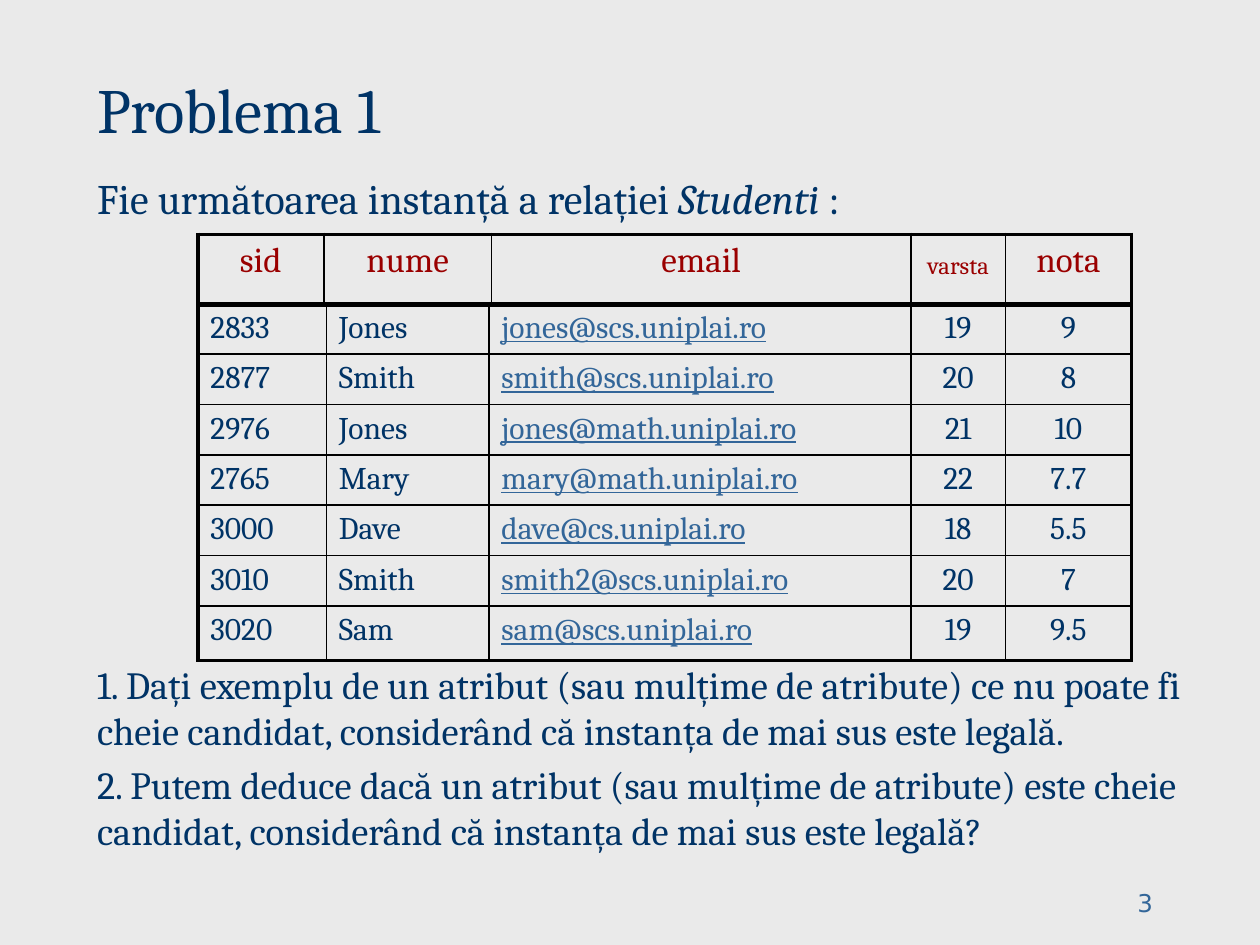
import pptx
import pptx.util
import pptx.dml.color
import pptx.enum.text
import pptx.oxml
import pptx.oxml.ns
import lxml.etree

Inches = pptx.util.Inches
Pt = pptx.util.Pt
ALIGN = pptx.enum.text.PP_ALIGN
ANCHOR = pptx.enum.text.MSO_ANCHOR
HUES = {"ground": "EAEAEA", "ink": "003366", "link": "336699",
        "head": "9A0000", "line": "000000"}


class Page:
    serif = "Cambria"
    sans = "DejaVu Sans"
    thick, thin = 2.25, 1

    def __init__(self, deck):
        self.slide = deck.slides.add_slide(deck.slide_layouts[1])
        fill = self.slide.background.fill
        fill.solid()
        fill.fore_color.rgb = self.hue("ground")

    def hue(self, name):
        return pptx.dml.color.RGBColor.from_string(HUES[name])

    def style(self, para, size, hue="ink", face=serif, align=ALIGN.LEFT):
        para.alignment = align
        para.font.size = Pt(size)
        para.font.name = face
        para.font.color.rgb = self.hue(hue)

    def place(self, shape, box):
        shape.left, shape.top, shape.width, shape.height = map(Inches, box)
        frame = shape.text_frame
        frame.word_wrap = True
        frame.auto_size = pptx.enum.text.MSO_AUTO_SIZE.NONE
        return frame

    def title(self, text, box):
        frame = self.place(self.slide.shapes.title, box)
        frame.vertical_anchor = ANCHOR.BOTTOM
        frame.text = text
        self.style(frame.paragraphs[0], 36)

    def body(self, items, box):
        frame = self.place(self.slide.placeholders[1], box)
        frame.vertical_anchor = ANCHOR.TOP
        for index, (parts, size, gap) in enumerate(items):
            para = frame.add_paragraph() if index else frame.paragraphs[0]
            for text, slant in parts:
                run = para.add_run()
                run.text = text
                if slant:
                    run.font.italic = True
            self.style(para, size)
            para.space_before = Pt(gap)
            props = para._p.get_or_add_pPr()
            props.set("marL", "0")
            props.set("indent", "0")
            lxml.etree.SubElement(props, pptx.oxml.ns.qn("a:buNone"))

    def number(self, text, box):
        frame = self.place(self.slide.shapes.add_textbox(0, 0, 0, 0), box)
        frame.vertical_anchor = ANCHOR.BOTTOM
        frame.text = text
        self.style(frame.paragraphs[0], 14, "link", self.sans, ALIGN.RIGHT)

    def border(self, cell, side, width):
        props = cell._tc.get_or_add_tcPr()
        props.append(pptx.oxml.parse_xml(
            f'<a:ln{side} {pptx.oxml.ns.nsdecls("a")} w="{Pt(width)}">'
            f'<a:solidFill><a:srgbClr val="{HUES["line"]}"/></a:solidFill>'
            f'</a:ln{side}>'))

    def table(self, rows, left, top, widths, heights):
        shape = self.slide.shapes.add_table(
            len(rows), len(widths), Inches(left), Inches(top),
            Inches(sum(widths)), Inches(sum(heights)))
        grid = shape.table
        grid.first_row = grid.horz_banding = False
        for column, width in zip(grid.columns, widths):
            column.width = Inches(width)
        for row, height in zip(grid.rows, heights):
            row.height = Inches(height)
        for y, row in enumerate(rows):
            for x, text in enumerate(row):
                cell = grid.cell(y, x)
                cell.text = text
                edges = {"L": x == 0, "R": x == len(widths) - 1,
                         "T": y == 0, "B": y == len(rows) - 1}
                for side, outer in edges.items():
                    self.border(cell, side, self.thick if outer else self.thin)
                cell.fill.background()
        return grid

    def header(self, names, left, top, widths, height):
        grid = self.table([names], left, top, widths, [height])
        for cell in grid.iter_cells():
            small = cell.text == "varsta"
            if small:
                cell.margin_top = Inches(0.14)
            self.style(cell.text_frame.paragraphs[0], 14 if small else 20,
                       "head", align=ALIGN.CENTER)

    def records(self, rows, left, top, widths, heights):
        grid = self.table(rows, left, top, widths, heights)
        for row in grid.rows:
            for x, cell in enumerate(row.cells):
                para = cell.text_frame.paragraphs[0]
                mail = x == 2
                self.style(para, 18, "link" if mail else "ink",
                           align=ALIGN.CENTER if x > 2 else ALIGN.LEFT)
                if mail:
                    para.font.underline = True


def main():
    deck = pptx.Presentation()
    deck.slide_width, deck.slide_height = Inches(10), Inches(7.5)
    page = Page(deck)
    page.number("3", (7.17, 6.83, 2.08, 0.5))
    page.title("Problema 1", (0.67, 0.5, 9.08, 0.71))
    page.body([
        ([("Fie următoarea instanță a relației ", False),
          ("Studenti", True), (" :", False)], 24, 4.8),
        ([("1. Dați exemplu de un atribut (sau mulțime de atribute) ce nu "
           "poate fi cheie candidat, considerând că instanța de mai sus "
           "este legală.", False)], 22, 250),
        ([("2. Putem deduce dacă un atribut (sau mulțime de atribute) este "
           "cheie candidat, considerând că instanța de mai sus este "
           "legală?", False)], 22, 4.4),
    ], (0.67, 1.32, 9.33, 5.5))
    page.header(["sid", "nume", "email", "varsta", "nota"],
                1.57, 1.86, [1, 1.33, 3.33, 0.75, 1], 0.56)
    page.records([
        ("2833", "Jones", "jones@scs.uniplai.ro", "19", "9"),
        ("2877", "Smith", "smith@scs.uniplai.ro", "20", "8"),
        ("2976", "Jones", "jones@math.uniplai.ro", "21", "10"),
        ("2765", "Mary", "mary@math.uniplai.ro", "22", "7.7"),
        ("3000", "Dave", "dave@cs.uniplai.ro", "18", "5.5"),
        ("3010", "Smith", "smith2@scs.uniplai.ro", "20", "7"),
        ("3020", "Sam", "sam@scs.uniplai.ro", "19", "9.5"),
    ], 1.57, 2.41, [1.02, 1.29, 3.35, 0.75, 1], [0.4] * 6 + [0.43])
    deck.save("out.pptx")


if __name__ == "__main__":
    main()
